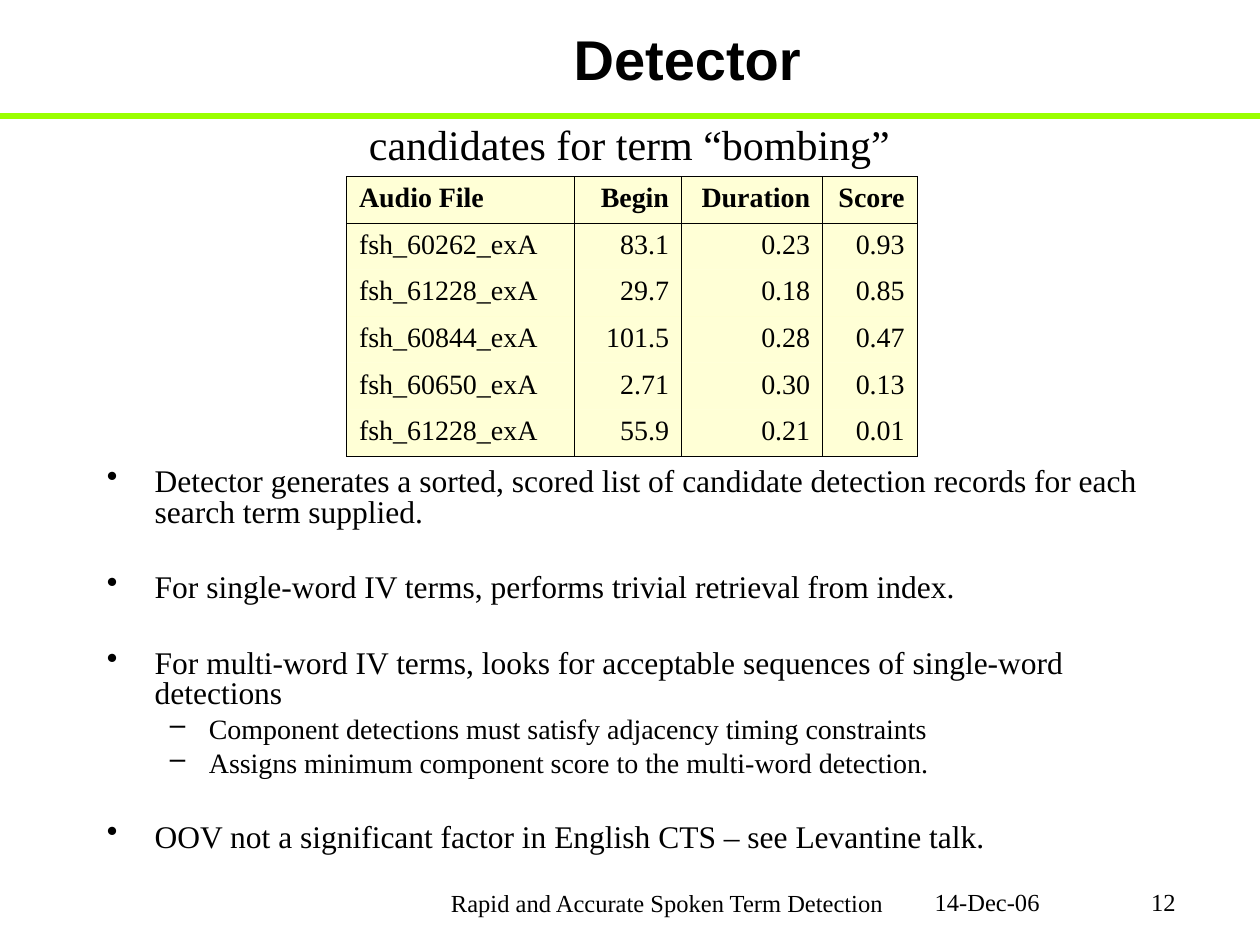
from dataclasses import dataclass

from lxml import etree
from pptx import Presentation
from pptx import util as u
from pptx.dml.color import RGBColor
from pptx.enum import shapes, text
from pptx.oxml import ns

LEFT, CENTER, RIGHT = text.PP_ALIGN.LEFT, text.PP_ALIGN.CENTER, text.PP_ALIGN.RIGHT


@dataclass(frozen=True)
class Theme:
    ink: str = "000000"
    rule: str = "9BFF00"
    cell: str = "FFFF99"
    cell_alpha: int = 40
    heading: str = "Arial"
    body: str = "Times New Roman"
    title: float = 32
    caption: float = 24
    bullet: float = 18
    small: float = 16
    footer: float = 14
    rule_width: float = 3
    border: float = 0.45


@dataclass(frozen=True)
class Label:
    words: str
    box: tuple[float, float, float, float]
    size: float
    align: text.PP_ALIGN = LEFT
    face: str = Theme.body
    bold: bool = False
    wrap: bool = True
    anchor: text.MSO_ANCHOR = text.MSO_ANCHOR.TOP


@dataclass(frozen=True)
class Level:
    mark: str
    size: float
    margin: float
    hang: float


@dataclass(frozen=True)
class Bullet:
    words: str
    level: Level
    before: float


T = Theme()
MAIN = Level("•", T.bullet, 0.38, 0.38)
SUB = Level("–", T.small, 0.81, 0.31)
GAP, SUB_GAP = 26, 4

LABELS = [
    Label("Detector", (1.08, 0, 8.75, 0.92), T.title, CENTER, T.heading, True,
          anchor=text.MSO_ANCHOR.MIDDLE),
    Label("candidates for term “bombing”", (2.83, 0.89, 4.34, 0.5), T.caption, wrap=False),
    Label("Rapid and Accurate Spoken Term Detection", (3.42, 7, 3.75, 0.5), T.footer, CENTER),
    Label("14-Dec-06", (7.32, 6.99, 1.26, 0.5), T.footer),
    Label("12", (8.93, 6.99, 0.5, 0.5), T.footer, RIGHT),
]
BULLETS = [
    Bullet("Detector generates a sorted, scored list of candidate detection records "
           "for each search term supplied.", MAIN, 0),
    Bullet("For single-word IV terms, performs trivial retrieval from index.", MAIN, GAP),
    Bullet("For multi-word IV terms, looks for acceptable sequences of single-word detections",
           MAIN, GAP),
    Bullet("Component detections must satisfy adjacency timing constraints", SUB, SUB_GAP),
    Bullet("Assigns minimum component score to the multi-word detection.", SUB, SUB_GAP),
    Bullet("OOV not a significant factor in English CTS – see Levantine talk.", MAIN, GAP),
]
COLUMNS = [1.81, 0.85, 1.12, 0.75]
ROWS = [
    ("Audio File", "Begin", "Duration", "Score"),
    ("fsh_60262_exA", "83.1", "0.23", "0.93"),
    ("fsh_61228_exA", "29.7", "0.18", "0.85"),
    ("fsh_60844_exA", "101.5", "0.28", "0.47"),
    ("fsh_60650_exA", "2.71", "0.30", "0.13"),
    ("fsh_61228_exA", "55.9", "0.21", "0.01"),
]


def inches(values) -> list[u.Length]:
    """Convert numbers to inch lengths."""
    return [u.Inches(v) for v in values]


def style(p, size: float, face: str = T.body, bold: bool = False) -> None:
    """Set the font of a whole paragraph."""
    f = p.font
    f.name, f.size, f.bold = face, u.Pt(size), bold
    f.color.rgb = RGBColor.from_string(T.ink)


def child(parent, tag: str, **attrs: str):
    """Append a DrawingML element."""
    return etree.SubElement(parent, ns.qn(f"a:{tag}"), attrs)


def add_label(s, label: Label) -> None:
    """Draw one single-paragraph text box."""
    tf = s.shapes.add_textbox(*inches(label.box)).text_frame
    tf.word_wrap, tf.vertical_anchor = label.wrap, label.anchor
    p = tf.paragraphs[0]
    p.text, p.alignment = label.words, label.align
    style(p, label.size, label.face, label.bold)


def add_rule(s) -> None:
    """Draw the line under the title."""
    sp = s.shapes.add_connector(shapes.MSO_CONNECTOR.STRAIGHT, *inches((0, 0.92, 10, 0.92)))
    sp.line.color.rgb = RGBColor.from_string(T.rule)
    sp.line.width = u.Pt(T.rule_width)
    child(sp._element.spPr, "effectLst")


def add_bullets(s, bullets: list[Bullet]) -> None:
    """Draw the two-level bullet list."""
    tf = s.shapes.add_textbox(*inches((0.75, 3.67, 8.5, 3.31))).text_frame
    tf.word_wrap = True
    for i, item in enumerate(bullets):
        p = tf.add_paragraph() if i else tf.paragraphs[0]
        p.text, p.line_spacing = item.words, 0.8
        if item.before:
            p.space_before = u.Pt(item.before)
        level = item.level
        p.level = int(level is SUB)
        pr = p._p.get_or_add_pPr()
        pr.set("marL", str(u.Inches(level.margin)))
        pr.set("indent", str(-u.Inches(level.hang)))
        child(child(pr, "buClr"), "srgbClr", val=T.ink)
        child(pr, "buChar", char=level.mark)
        style(p, level.size)


def paint_cell(cell, top: bool, bottom: bool) -> None:
    """Give a cell its borders and translucent fill."""
    pr = cell._tc.get_or_add_tcPr()
    for side, shown in (("L", True), ("R", True), ("T", top), ("B", bottom)):
        ln = child(pr, f"ln{side}", w=str(u.Pt(T.border)))
        if shown:
            child(child(ln, "solidFill"), "srgbClr", val=T.ink)
        else:
            child(ln, "noFill")
    color = child(child(pr, "solidFill"), "srgbClr", val=T.cell)
    child(color, "alpha", val=str(T.cell_alpha * 1000))


def add_candidates(s) -> None:
    """Draw the table of candidate detections."""
    box = inches((2.75, 1.4, sum(COLUMNS), 0.37 * len(ROWS)))
    table = s.shapes.add_table(len(ROWS), len(COLUMNS), *box).table
    table.first_row = table.horz_banding = False
    for column, width in zip(table.columns, COLUMNS):
        column.width = u.Inches(width)
    for r, row in enumerate(ROWS):
        for c, words in enumerate(row):
            cell = table.cell(r, c)
            p = cell.text_frame.paragraphs[0]
            p.text, p.alignment = words, RIGHT if c else LEFT
            style(p, T.small, bold=r == 0)
            paint_cell(cell, r < 2, r in (0, len(ROWS) - 1))


def main() -> None:
    """Build and save the slide."""
    prs = Presentation()
    prs.slide_width, prs.slide_height = inches((10, 7.5))
    s = prs.slides.add_slide(prs.slide_layouts[6])
    add_rule(s)
    add_bullets(s, BULLETS)
    add_candidates(s)
    for label in LABELS:
        add_label(s, label)
    prs.save("out.pptx")


if __name__ == "__main__":
    main()
